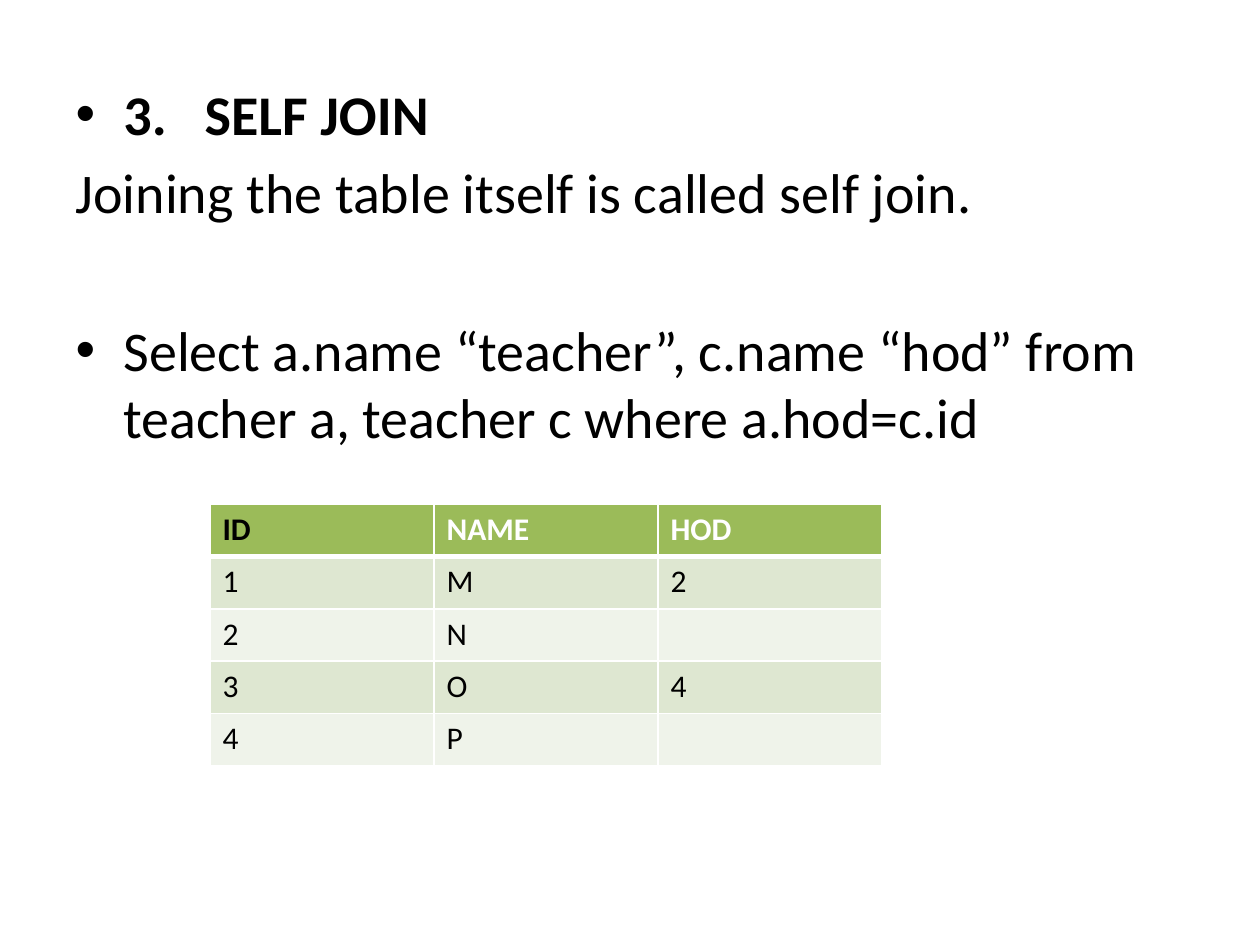
from dataclasses import dataclass

from lxml.etree import SubElement
from pptx import Presentation
from pptx.dml.color import RGBColor
from pptx.oxml.ns import qn
from pptx.util import Inches, Pt

BLACK = RGBColor(0x00, 0x00, 0x00)
WHITE = RGBColor(0xFF, 0xFF, 0xFF)
GREEN = RGBColor(0x9B, 0xBB, 0x59)
BANDS = (RGBColor(0xDE, 0xE7, 0xD1), RGBColor(0xEF, 0xF3, 0xEA))
FONT = "Calibri"
WIDTH, HEIGHT = Inches(10), Inches(7.5)
TEACHERS = (
    ("ID", "NAME", "HOD"),
    ("1", "M", "2"),
    ("2", "N", ""),
    ("3", "O", "4"),
    ("4", "P", ""),
)


@dataclass(frozen=True)
class Item:
    text: str
    bullet: bool = True
    bold: bool = False
    space_before: float = 6.4


ITEMS = (
    Item("3.   SELF JOIN", bold=True, space_before=0),
    Item("Joining the table itself is called self join.", bullet=False),
    Item("Select a.name “teacher”, c.name “hod” from teacher a, "
         "teacher c where a.hod=c.id", space_before=51.8),
)


def write(para, text: str, *, size: float, color=BLACK, bold: bool = False) -> None:
    span = para.add_run()
    span.text = text
    span.font.name = FONT
    span.font.size = Pt(size)
    span.font.bold = bold
    span.font.color.rgb = color


def fill_body(body, items: tuple[Item, ...]) -> None:
    body.left, body.top = int(WIDTH * 0.05), Inches(0.58)
    body.width, body.height = int(WIDTH * 0.9), Inches(6.12)
    frame = body.text_frame
    for index, item in enumerate(items):
        para = frame.add_paragraph() if index else frame.paragraphs[0]
        properties = para._p.get_or_add_pPr()
        properties.set("marL", str(Inches(0.38)))
        properties.set("indent", str(-Inches(0.38)))
        if item.bullet:
            SubElement(properties, qn("a:buChar"), char="•")
        else:
            SubElement(properties, qn("a:buNone"))
        para.space_before = Pt(item.space_before)
        write(para, item.text, size=32, bold=item.bold)


def set_borders(cell, bottom: float) -> None:
    """Draw white borders, to be called before the cell is filled."""
    properties = cell._tc.get_or_add_tcPr()
    for side, points in (("L", 1), ("R", 1), ("T", 1), ("B", bottom)):
        line = SubElement(properties, qn(f"a:ln{side}"), w=str(Pt(points)))
        paint = SubElement(line, qn("a:solidFill"))
        SubElement(paint, qn("a:srgbClr"), val=str(WHITE))


def add_teacher_table(page, rows: tuple[tuple[str, ...], ...]) -> None:
    table = page.shapes.add_table(
        len(rows), len(rows[0]), WIDTH // 6, Inches(4),
        int(WIDTH * 8 / 15), Inches(2.08)).table
    for row, values in enumerate(rows):
        header = row == 0
        for column, value in enumerate(values):
            cell = table.cell(row, column)
            set_borders(cell, bottom=3 if header else 1)
            cell.fill.solid()
            cell.fill.fore_color.rgb = GREEN if header else BANDS[(row - 1) % 2]
            if value:
                color = WHITE if header and column else BLACK
                write(cell.text_frame.paragraphs[0], value,
                      size=18, color=color, bold=header)


def main() -> None:
    deck = Presentation()
    deck.slide_width, deck.slide_height = WIDTH, HEIGHT
    page = deck.slides.add_slide(deck.slide_layouts[1])
    title = page.shapes.title.element
    title.getparent().remove(title)
    fill_body(page.placeholders[1], ITEMS)
    add_teacher_table(page, TEACHERS)
    deck.save("out.pptx")


if __name__ == "__main__":
    main()
